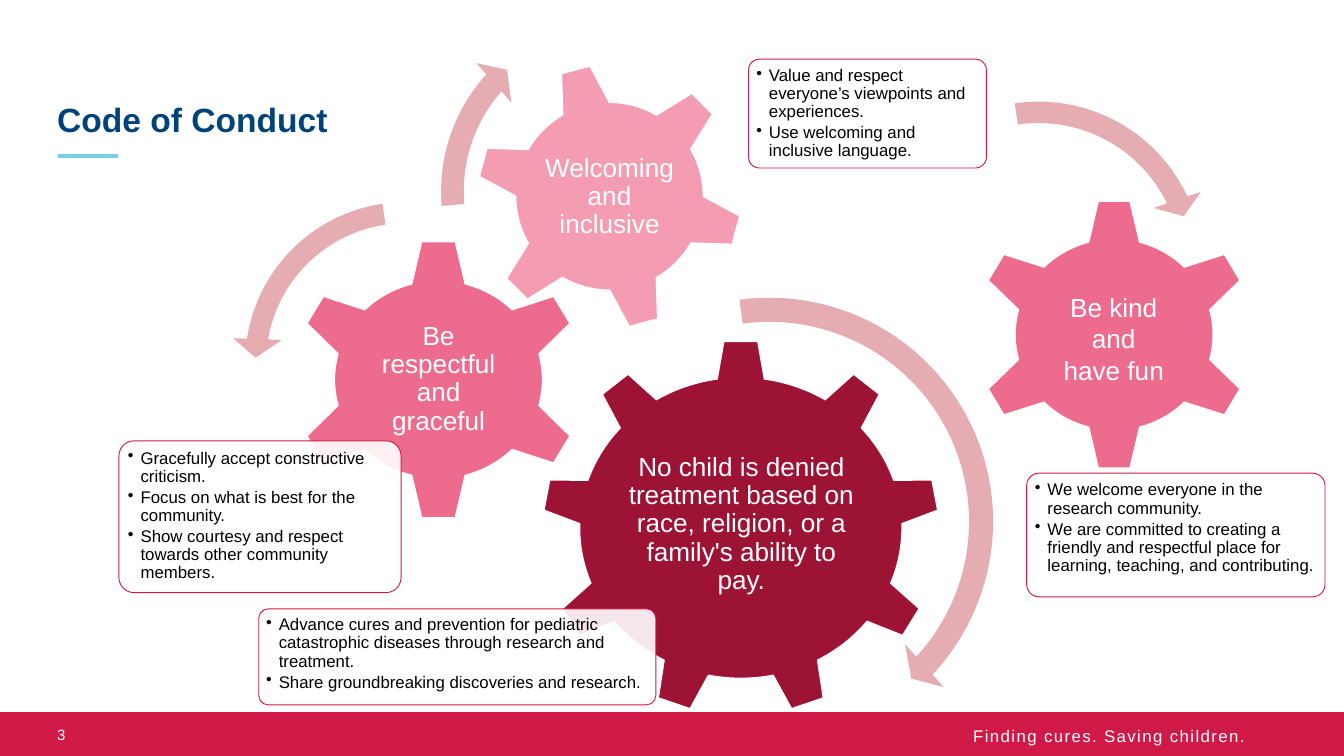
from dataclasses import dataclass

from lxml import etree
from pptx import Presentation
from pptx.dml.color import RGBColor
from pptx.enum.shapes import MSO_CONNECTOR, MSO_SHAPE
from pptx.enum.text import MSO_ANCHOR, MSO_AUTO_SIZE, PP_ALIGN
from pptx.oxml.ns import qn
from pptx.shapes.autoshape import Shape
from pptx.slide import Slide
from pptx.text.text import TextFrame, _Paragraph
from pptx.util import Pt

LEFT, CENTER, RIGHT = PP_ALIGN.LEFT, PP_ALIGN.CENTER, PP_ALIGN.RIGHT
TOP, MIDDLE, BOTTOM = MSO_ANCHOR.TOP, MSO_ANCHOR.MIDDLE, MSO_ANCHOR.BOTTOM
RECTANGLE, ROUNDED = MSO_SHAPE.RECTANGLE, MSO_SHAPE.ROUNDED_RECTANGLE
GEAR_6, GEAR_9 = MSO_SHAPE.GEAR_6, MSO_SHAPE.GEAR_9
ARROW, LEFT_ARROW = MSO_SHAPE.CIRCULAR_ARROW, MSO_SHAPE.LEFT_CIRCULAR_ARROW
STRAIGHT = MSO_CONNECTOR.STRAIGHT
NO_AUTOFIT = MSO_AUTO_SIZE.NONE


@dataclass(frozen=True)
class Theme:
    font: str = "Arial"
    white: str = "FFFFFF"
    black: str = "000000"
    navy: str = "00437B"
    sky: str = "79D0E3"
    red: str = "D11947"
    maroon: str = "9D1335"
    rose: str = "ED6B8C"
    pink: str = "F39CB2"
    arrow: str = "E5ACB1"
    title_size: int = 36
    gear_size: int = 28
    body_size: int = 18
    number_size: int = 16


THEME = Theme()


@dataclass(frozen=True)
class Box:
    left: float
    top: float
    width: float
    height: float

    def lengths(self) -> tuple[Pt, Pt, Pt, Pt]:
        return Pt(self.left), Pt(self.top), Pt(self.width), Pt(self.height)


@dataclass(frozen=True)
class Gear:
    kind: MSO_SHAPE
    box: Box
    color: str
    label_box: Box
    lines: tuple[str, ...]
    rotation: float = 0
    line_spacing: float = 0.9
    bottom_inset: float = 3


@dataclass(frozen=True)
class Card:
    box: Box
    items: tuple[str, ...]


@dataclass(frozen=True)
class Arc:
    kind: MSO_SHAPE
    box: Box
    adjustments: tuple[float, ...]
    rotation: float = 0


GEARS = (
    Gear(GEAR_9, Box(581, 364.3, 425.5, 402.5), THEME.maroon, Box(665.3, 458.6, 257.8, 206.6),
         ("No child is denied treatment based on race, religion, or a family's ability to pay.",)),
    Gear(GEAR_6, Box(313.2, 255.6, 313.2, 302.4), THEME.rose, Box(391, 332, 157.7, 149),
         ("Be respectful and graceful",)),
    Gear(GEAR_6, Box(509.8, 67, 286.6, 286.6), THEME.pink, Box(572.4, 130.3, 161.3, 161.3),
         ("Welcoming and inclusive",), rotation=345),
    Gear(GEAR_6, Box(1044, 212.4, 299.5, 292.3), THEME.rose, Box(1108, 299.5, 170.6, 157),
         ("Be kind", "and", "have fun"), line_spacing=1, bottom_inset=34),
)

CARDS = (
    Card(Box(277.2, 652.3, 425.5, 103), (
        "Advance cures and prevention for pediatric catastrophic diseases through research and treatment.",
        "Share groundbreaking discoveries and research.")),
    Card(Box(127.4, 472.3, 302.4, 162.7), (
        "Gracefully accept constructive criticism.",
        "Focus on what is best for the community.",
        "Show courtesy and respect towards other community members.")),
    Card(Box(802, 63.4, 254.9, 116.6), (
        "Value and respect everyone’s viewpoints and experiences.",
        "Use welcoming and inclusive language.")),
    Card(Box(1100, 507, 319.7, 132.5), (
        "We welcome everyone in the research community.",
        "We are committed to creating a friendly and respectful place for learning, teaching, and contributing.")),
)

ARCS = (
    Arc(ARROW, Box(566.6, 301, 515.5, 515.5), (0.05, 2.99, 25.75, 157.4, 0.06)),
    Arc(LEFT_ARROW, Box(247.7, 201.6, 374.4, 374.4), (0.06, 4.3, 104.89, 148.38, 0.07), 14.3),
    Arc(ARROW, Box(456.5, 2.9, 404, 404), (0.06, 3.94, 133.14, 105.08, 0.07)),
    Arc(ARROW, Box(921.6, 93.6, 382.3, 382.3), (0.06, 3.94, 133.14, 89.37, 0.07), 112.7),
)


def color(value: str) -> RGBColor:
    return RGBColor.from_string(value)


def style(paragraph: _Paragraph, size: int, text_color: str, alignment: PP_ALIGN = LEFT,
          bold: bool = False, line_spacing: float = 1) -> None:
    paragraph.alignment = alignment
    paragraph.line_spacing = line_spacing
    paragraph.font.name = THEME.font
    paragraph.font.size = Pt(size)
    paragraph.font.bold = bold
    paragraph.font.color.rgb = color(text_color)


def set_insets(frame: TextFrame, inset: float) -> None:
    frame.margin_left = frame.margin_right = Pt(inset)
    frame.margin_top = frame.margin_bottom = Pt(inset)


def add_text_box(slide: Slide, box: Box, lines: tuple[str, ...], anchor: MSO_ANCHOR) -> TextFrame:
    frame = slide.shapes.add_textbox(*box.lengths()).text_frame
    frame.word_wrap = True
    frame.vertical_anchor = anchor
    frame.text = "\n".join(lines)
    return frame


def add_filled_shape(slide: Slide, kind: MSO_SHAPE, box: Box, fill: str,
                     line: str | None = None, rotation: float = 0) -> Shape:
    shape = slide.shapes.add_shape(kind, *box.lengths())
    shape.shadow.inherit = False
    shape.rotation = rotation
    shape.fill.solid()
    shape.fill.fore_color.rgb = color(fill)
    if line:
        shape.line.color.rgb = color(line)
        shape.line.width = Pt(1)
    else:
        shape.line.fill.background()
    return shape


def add_rule(slide: Slide, left: float, right: float, top: float, line: str, width: float) -> None:
    connector = slide.shapes.add_connector(STRAIGHT, Pt(left), Pt(top), Pt(right), Pt(top))
    connector.line.color.rgb = color(line)
    connector.line.width = Pt(width)
    etree.SubElement(connector._element.spPr, qn("a:effectLst"))


def add_gear(slide: Slide, gear: Gear) -> None:
    add_filled_shape(slide, gear.kind, gear.box, gear.color, THEME.white, gear.rotation)
    frame = add_text_box(slide, gear.label_box, gear.lines, MIDDLE)
    set_insets(frame, 3)
    frame.margin_bottom = Pt(gear.bottom_inset)
    for paragraph in frame.paragraphs:
        style(paragraph, THEME.gear_size, THEME.white, CENTER, line_spacing=gear.line_spacing)


def add_card(slide: Slide, card: Card) -> None:
    shape = add_filled_shape(slide, ROUNDED, card.box, THEME.white, THEME.red)
    shape.adjustments[0] = 0.1
    fill_color = shape._element.spPr.find(qn("a:solidFill")).find(qn("a:srgbClr"))
    etree.SubElement(fill_color, qn("a:alpha"), val="90000")
    frame = shape.text_frame
    frame.word_wrap = True
    frame.vertical_anchor = TOP
    set_insets(frame, 5)
    frame.text = "\n".join(card.items)
    for paragraph in frame.paragraphs:
        properties = paragraph._p.get_or_add_pPr()
        properties.set("marL", str(Pt(13.5)))
        properties.set("indent", str(-Pt(13.5)))
        etree.SubElement(properties, qn("a:buChar"), char="•")
        style(paragraph, THEME.body_size, THEME.black, line_spacing=0.9)
        paragraph.space_after = Pt(3)


def add_arc(slide: Slide, arc: Arc) -> None:
    shape = add_filled_shape(slide, arc.kind, arc.box, THEME.arrow, rotation=arc.rotation)
    for index, value in enumerate(arc.adjustments):
        shape.adjustments[index] = value


def add_title(slide: Slide) -> None:
    title = slide.shapes.title
    title.left, title.top, title.width, title.height = Box(54, 43, 389.5, 110).lengths()
    frame = title.text_frame
    frame.text = "Code of Conduct"
    frame.auto_size = NO_AUTOFIT
    frame.vertical_anchor = BOTTOM
    style(frame.paragraphs[0], THEME.title_size, THEME.navy, bold=True, line_spacing=0.9)


def add_footer(slide: Slide) -> None:
    add_filled_shape(slide, RECTANGLE, Box(0, 762.5, 1440, 47.5), THEME.red)
    add_rule(slide, 0, 1440, 762.5, THEME.white, 1.75)
    slogan = add_text_box(slide, Box(975, 774, 366, 51), ("Finding cures. Saving children.",), TOP)
    style(slogan.paragraphs[0], THEME.body_size, THEME.white, RIGHT)
    slogan.paragraphs[0].runs[0]._r.get_or_add_rPr().set("spc", "150")
    number = add_text_box(slide, Box(54, 769, 73.4, 36.7), ("3",), MIDDLE)
    style(number.paragraphs[0], THEME.number_size, THEME.white)


def main() -> None:
    presentation = Presentation()
    presentation.slide_width, presentation.slide_height = Pt(1440), Pt(810)
    slide = presentation.slides.add_slide(presentation.slide_layouts[5])
    add_footer(slide)
    add_rule(slide, 62.5, 126, 167, THEME.sky, 3.75)
    add_title(slide)
    for gear in GEARS:
        add_gear(slide, gear)
    for card in CARDS:
        add_card(slide, card)
    for arc in ARCS:
        add_arc(slide, arc)
    presentation.save("out.pptx")


if __name__ == "__main__":
    main()
